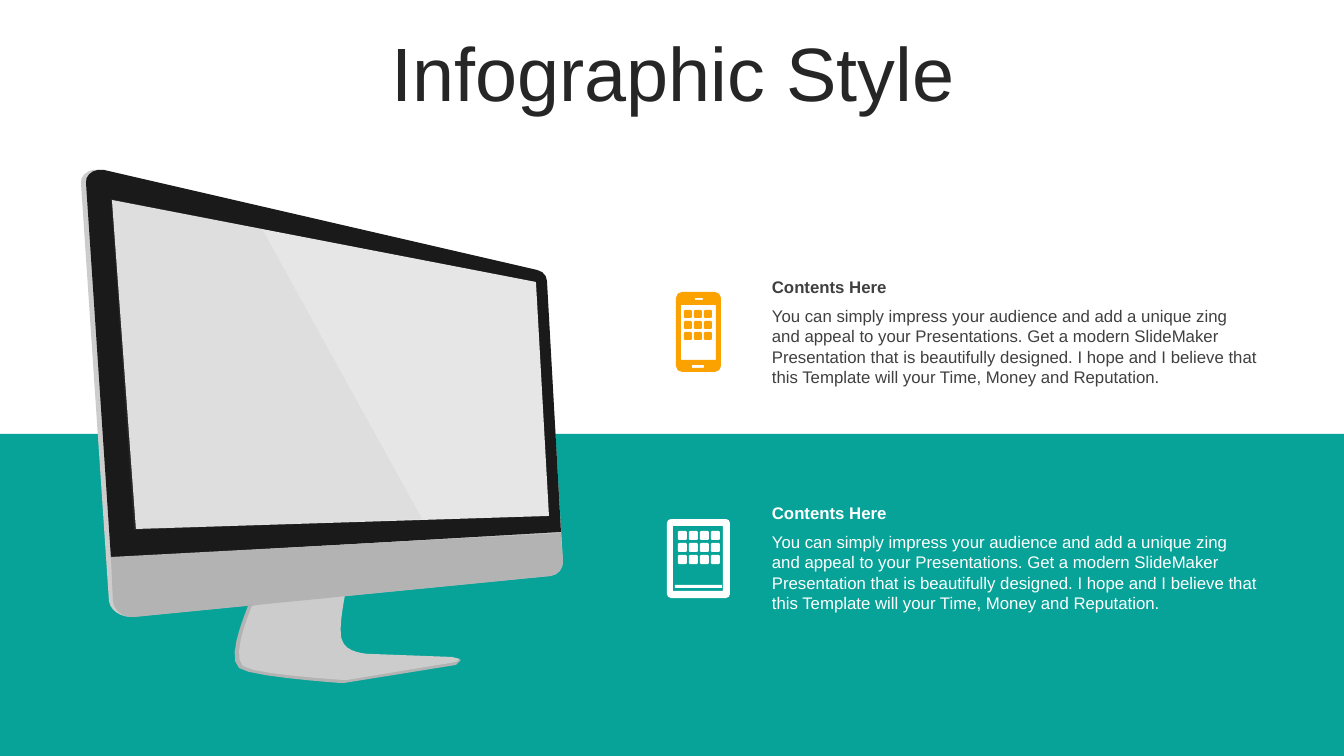
from lxml import etree
from pptx import Presentation
from pptx.dml.color import RGBColor
from pptx.enum.shapes import MSO_SHAPE
from pptx.enum.text import MSO_ANCHOR, PP_ALIGN
from pptx.oxml.ns import qn
from pptx.util import Pt

RECT = MSO_SHAPE.RECTANGLE
TOP, MIDDLE = MSO_ANCHOR.TOP, MSO_ANCHOR.MIDDLE
LEFT, CENTER = PP_ALIGN.LEFT, PP_ALIGN.CENTER
WIDE, HIGH = 1344, 756
SCALE = 12192000 / WIDE

TEAL, WHITE, ORANGE = "07A398", "FFFFFF", "FBA200"
DARK, INK = "404040", "262626"
BODY = (
    "You can simply impress your audience and add a unique zing and appeal to "
    "your Presentations. Get a modern SlideMaker Presentation that is "
    "beautifully designed. I hope and I believe that this Template will your "
    "Time, Money and Reputation."
)

STAND = [
    (262, 427), (259, 446, 256, 457, 258, 468), (258, 471, 259, 474, 261, 478),
    (266, 486, 280, 488, 288, 488), (375, 491), (381, 492), (376, 497),
    (264, 515), (260, 515), (246, 514, 168, 508, 159, 500),
    (148, 490, 160, 459, 168, 438), (211, 430),
]
FOOT = [
    (265, 427), (262, 445, 260, 456, 261, 467), (261, 470, 262, 472, 264, 476),
    (269, 484, 284, 486, 291, 486), (372, 489), (380, 491),
    (376, 494), (267, 512), (263, 512), (250, 511, 173, 506, 163, 498),
    (153, 489, 164, 458, 172, 438), (215, 430),
]
CASE = [
    (51, 449), (470, 408), (478, 407, 483, 401, 483, 394), (467, 124),
    (466, 108, 462, 103, 456, 102), (19, 2), (10, 0, 0, 7, 1, 15),
    (29, 433), (30, 442, 40, 449, 51, 449),
]
BEZEL = [
    (31, 390), (481, 364), (467, 113), (467, 108, 463, 103, 457, 102),
    (24, 2), (14, 0, 5, 7, 6, 15),
]
SCREEN = [(56, 361), (469, 348), (456, 114), (32, 32)]
CHIN = [
    (481, 365), (483, 394), (483, 401, 478, 407, 471, 408), (54, 449),
    (44, 450, 34, 443, 33, 433), (31, 389),
]
SHINE = [(182, 61), (31, 31), (54, 362), (342, 351)]


def px(n):
    """Turn pixels into EMU."""
    return round(n * SCALE)


def rgb(code):
    """Turn a hex string into a colour."""
    return RGBColor.from_string(code)


def paint(shape, code):
    """Give a shape a flat fill with no line or shadow."""
    shape.shadow.inherit = False
    shape.fill.solid()
    shape.fill.fore_color.rgb = rgb(code)
    shape.line.fill.background()


def trace(path):
    """Flatten points and cubic curves, with more steps on longer curves."""
    dots = []
    for step in path:
        if len(step) == 2:
            dots.append(step)
            continue
        x0, y0 = dots[-1]
        x1, y1, x2, y2, x3, y3 = step
        span = max(abs(x3 - x0), abs(y3 - y0))
        count = min(6, int(span // 4) + 1)
        for i in range(1, count + 1):
            t = i / count
            u = 1 - t
            a, b, c, d = u**3, 3 * u * u * t, 3 * u * t * t, t**3
            dots.append((a * x0 + b * x1 + c * x2 + d * x3,
                         a * y0 + b * y1 + c * y2 + d * y3))
    return dots


def draw(slide, x, y, paths, code):
    """Draw closed paths as one freeform placed at x, y."""
    pen = None
    for path in paths:
        dots = [(px(x + a), px(y + b)) for a, b in trace(path)]
        if pen is None:
            pen = slide.shapes.build_freeform(*dots[0], scale=1.0)
        else:
            pen.move_to(*dots[0])
        pen.add_line_segments(dots[1:], close=True)
    shape = pen.convert_to_shape()
    paint(shape, code)
    return shape


def panel(x, y, w, h, r=0):
    """Return the path of a rectangle with rounded corners."""
    e, f = x + w, y + h
    if not r:
        return [(x, y), (e, y), (e, f), (x, f)]
    k = r * 0.45
    return [
        (x + r, y), (e - r, y), (e - k, y, e, y + k, e, y + r),
        (e, f - r), (e, f - k, e - k, f, e - r, f),
        (x + r, f), (x + k, f, x, f - k, x, f - r),
        (x, y + r), (x, y + k, x + k, y, x + r, y),
    ]


def apps(x, y, cols, dx, dy, size):
    """Return a grid of app tiles with three rows."""
    return [panel(x + c * dx, y + r * dy, size, size, 1)
            for r in range(3) for c in range(cols)]


def write(slide, box, text, size, code, bold=False, align=LEFT, anchor=TOP):
    """Add a text box with one run and return its paragraph."""
    frame = slide.shapes.add_textbox(*map(px, box)).text_frame
    frame.word_wrap = True
    frame.vertical_anchor = anchor
    para = frame.paragraphs[0]
    para.alignment = align
    run = para.add_run()
    run.text = text
    run.font.name = "Arial"
    run.font.size = Pt(size)
    run.font.bold = bold
    run.font.color.rgb = rgb(code)
    return para


def title(slide, box):
    """Write the slide title in its box."""
    para = write(slide, box, "Infographic Style", 54, INK,
                 align=CENTER, anchor=MIDDLE)
    para.line_spacing = 0.9
    para.space_before = Pt(10)


def band(slide, box):
    """Fill the lower part of the slide."""
    paint(slide.shapes.add_shape(RECT, *map(px, box)), TEAL)


def screen(slide, x, y):
    """Draw the desktop monitor from back to front."""
    for path, code in ((STAND, "B3B3B3"), (FOOT, "CCCCCC"), (CASE, "CCCCCC"),
                       (BEZEL, "1A1A1A"), (SCREEN, "E6E6E6"),
                       (CHIN, "B3B3B3")):
        draw(slide, x, y, [path], code)
    shine = draw(slide, x, y, [SHINE], "999999")
    tint = shine.fill._xPr.find(".//" + qn("a:srgbClr"))
    etree.SubElement(tint, qn("a:alpha")).set("val", "10000")


def entry(slide, x, y, icon, tint, code):
    """Place an icon with a heading and a paragraph beside it."""
    draw(slide, x, y + 20, icon, tint)
    write(slide, (x + 95, y + 29, 508, 92), BODY, 12, code)
    write(slide, (x + 95, y, 508, 30), "Contents Here", 12, code, bold=True)


def main():
    """Build the slide and save it."""
    deck = Presentation()
    deck.slide_width, deck.slide_height = px(WIDE), px(HIGH)
    slide = deck.slides.add_slide(deck.slide_layouts[6])
    phone = [panel(9, 0, 45, 80, 6), panel(14, 13, 35, 55),
             panel(28, 6, 8, 2), panel(25, 73, 12, 3),
             *apps(17, 18, 3, 10, 11, 8)]
    tablet = [panel(0, 1, 63, 79, 4), panel(6, 8, 50, 65),
              panel(8, 67, 47, 3), *apps(11, 13, 4, 11, 12, 9)]
    band(slide, (0, 434, WIDE, 322))
    screen(slide, 80, 168)
    entry(slide, 667, 272, phone, ORANGE, DARK)
    entry(slide, 667, 498, tablet, WHITE, WHITE)
    title(slide, (35, 37, 1276, 80))
    deck.save("out.pptx")


if __name__ == "__main__":
    main()
